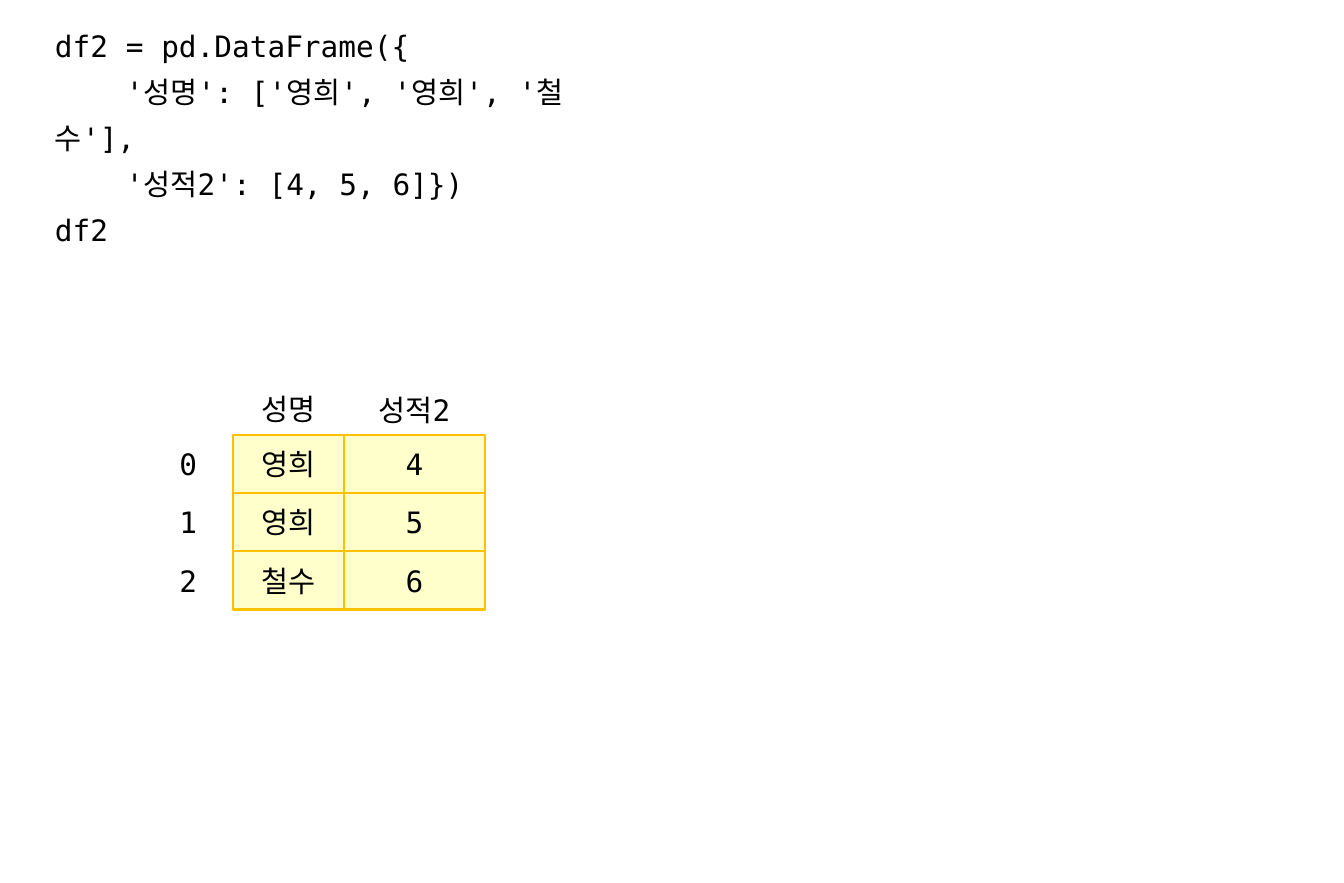
"""Build a slide showing pandas code and the data frame it produces."""
from pptx import Presentation
from pptx.dml.color import RGBColor
from pptx.enum.shapes import MSO_SHAPE
from pptx.enum.text import MSO_ANCHOR, MSO_AUTO_SIZE, PP_ALIGN
from pptx.util import Pt

RECTANGLE = MSO_SHAPE.RECTANGLE
MIDDLE = MSO_ANCHOR.MIDDLE
GROW = MSO_AUTO_SIZE.SHAPE_TO_FIT_TEXT
LEFT, CENTER = PP_ALIGN.LEFT, PP_ALIGN.CENTER

CODE_LINES = [
    "df2 = pd.DataFrame({",
    "    '성명': ['영희', '영희', '철수'],",
    "    '성적2': [4, 5, 6]})",
    "df2",
]
HEADERS = [("성명", 130.3, 231.8), ("성적2", 207.4, 232.6)]
ROWS = [("0", "영희", "4"), ("1", "영희", "5"), ("2", "철수", "6")]
COLUMNS = [(87.8, 54.7), (142.5, 67.9), (210.4, 86.4)]
GRID_TOP, ROW_HEIGHT = 265.9, 35.6


def color(hex_string):
    return RGBColor.from_string(hex_string)


def add_text(paragraph, text, alignment):
    paragraph.alignment = alignment
    run = paragraph.add_run()
    run.text = text
    run.font.name = "DejaVu Sans Mono"
    run.font.size = Pt(18)
    run.font.color.rgb = color("000000")


presentation = Presentation()
presentation.slide_width = Pt(822.24)
presentation.slide_height = Pt(540)
slide = presentation.slides.add_slide(presentation.slide_layouts[6])

code_box = slide.shapes.add_textbox(Pt(26.6), Pt(7.2), Pt(369.4), Pt(118))
code_frame = code_box.text_frame
code_frame.word_wrap = False
code_frame.auto_size = GROW
for index, line in enumerate(CODE_LINES):
    paragraph = code_frame.add_paragraph() if index else code_frame.paragraphs[0]
    paragraph.line_spacing = 1.3
    add_text(paragraph, line, LEFT)

for header, left, top in HEADERS:
    header_box = slide.shapes.add_textbox(Pt(left), Pt(top), Pt(92.2), Pt(36))
    header_box.text_frame.word_wrap = True
    header_box.text_frame.vertical_anchor = MIDDLE
    add_text(header_box.text_frame.paragraphs[0], header, CENTER)

for row_index, row in enumerate(ROWS):
    top = GRID_TOP + row_index * ROW_HEIGHT
    for column_index, (value, (left, width)) in enumerate(zip(row, COLUMNS)):
        bounds = Pt(left), Pt(top), Pt(width), Pt(ROW_HEIGHT)
        if column_index == 0:
            cell = slide.shapes.add_textbox(*bounds)
        else:
            cell = slide.shapes.add_shape(RECTANGLE, *bounds)
            cell.shadow.inherit = False
            cell.fill.solid()
            cell.fill.fore_color.rgb = color("FFFFCC")
            cell.line.color.rgb = color("FFC000")
            cell.line.width = Pt(1.5)
        cell.text_frame.word_wrap = True
        cell.text_frame.vertical_anchor = MIDDLE
        add_text(cell.text_frame.paragraphs[0], value, CENTER)

presentation.save("out.pptx")
